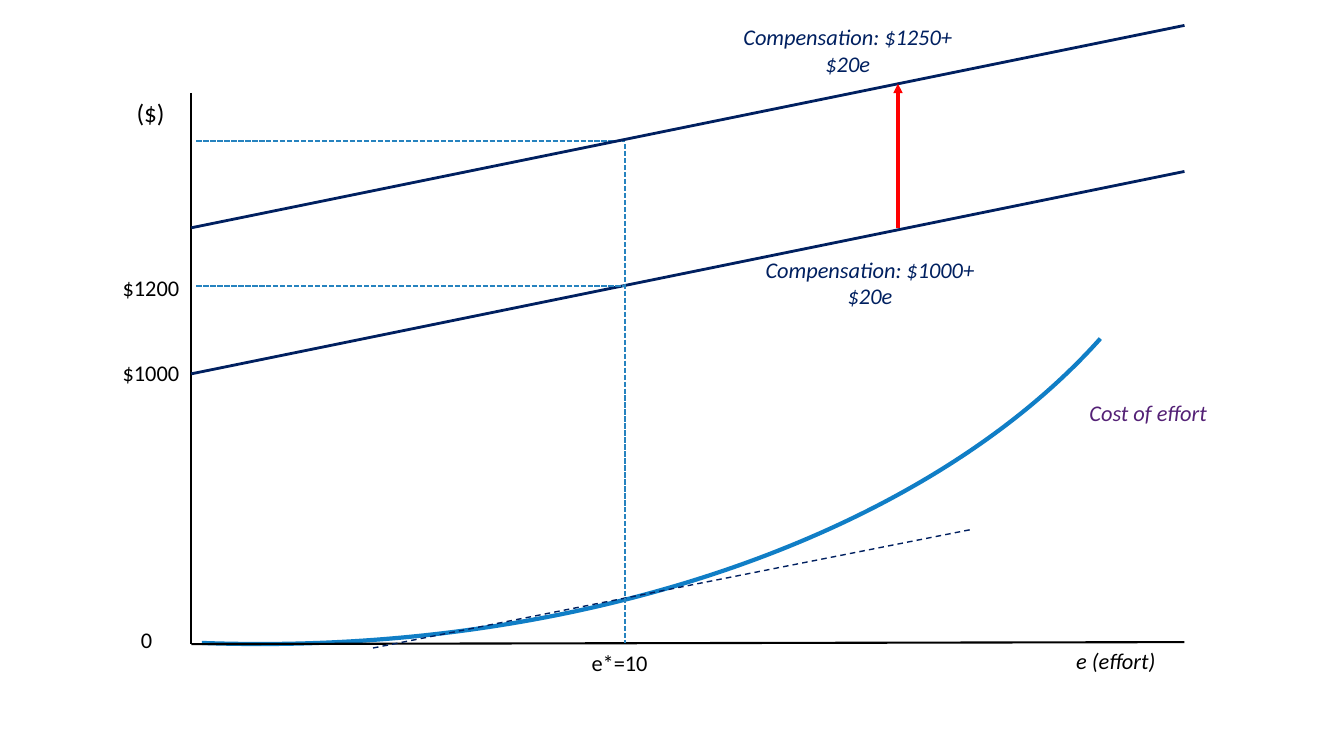
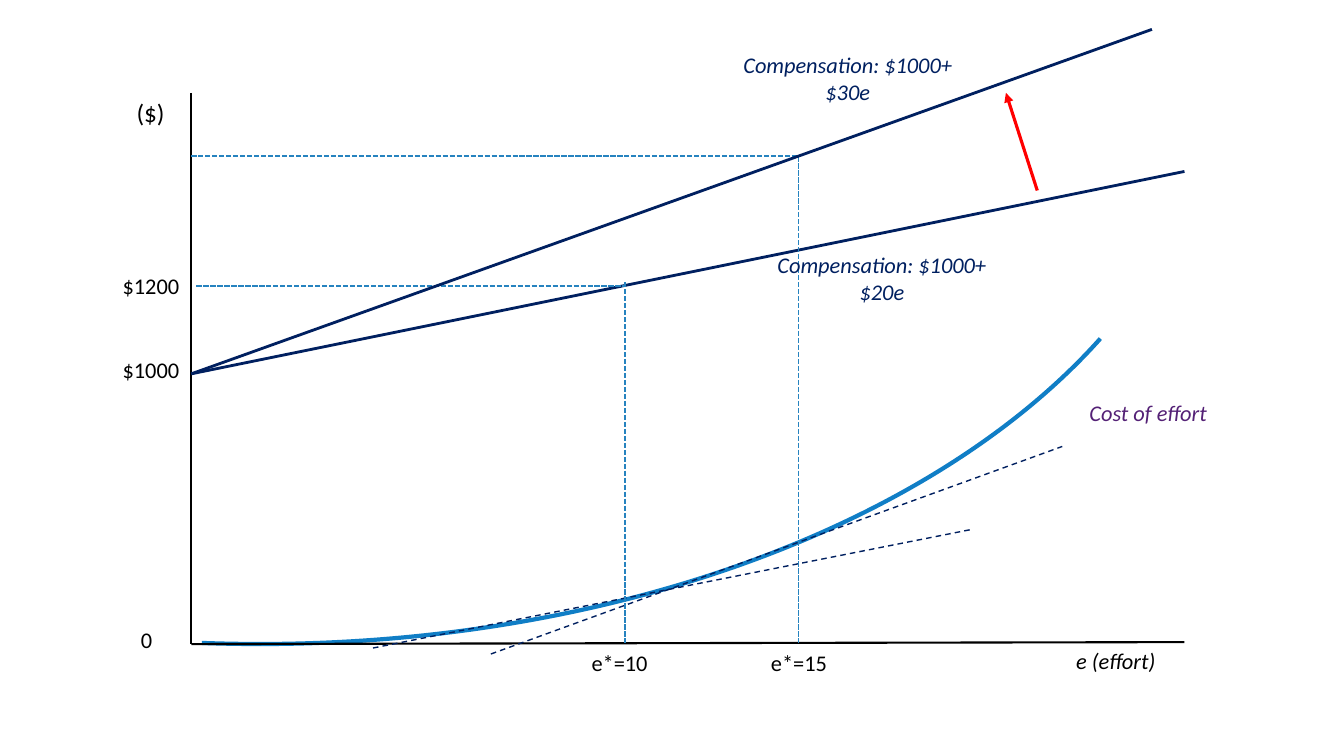
from dataclasses import dataclass

from lxml import etree
from pptx import Presentation
from pptx.dml.color import RGBColor
from pptx.enum.dml import MSO_LINE
from pptx.enum.shapes import MSO_CONNECTOR, MSO_SHAPE
from pptx.enum.text import MSO_AUTO_SIZE, PP_ALIGN
from pptx.oxml.ns import qn
from pptx.slide import Slide
from pptx.util import Cm, Pt

STRAIGHT = MSO_CONNECTOR.STRAIGHT
ARC = MSO_SHAPE.ARC
SYS_DASH, DASH = MSO_LINE.SQUARE_DOT, MSO_LINE.DASH
LEFT, CENTER = PP_ALIGN.LEFT, PP_ALIGN.CENTER
FIT_TEXT = MSO_AUTO_SIZE.SHAPE_TO_FIT_TEXT

BLACK, NAVY, PURPLE = "000000", "002060", "542176"
GUIDE_BLUE, CURVE_BLUE, RED = "2683BF", "107EC6", "FF0000"
FONT = "Calibri"

# Lengths are centimetres.
AXIS_X, AXIS_TOP, AXIS_BOTTOM = 4.82, 2.34, 16.23
AXIS_END = (29.85, 16.18)
GUIDE_LEFT, GUIDE_BOTTOM = 4.95, 16.21
EFFORT_10, EFFORT_15 = 15.75, 20.12
PAY_1000, PAY_1200 = 9.42, 7.21
ROW_HEIGHT = 1.19
TICK_LABEL_TOP = AXIS_BOTTOM
CURVE_LABEL_WIDTH = 6.25


@dataclass(frozen=True)
class Pen:
    color: str
    width: float
    dash: MSO_LINE | None = None
    arrow: bool = False


@dataclass(frozen=True)
class Segment:
    start: tuple[float, float]
    end: tuple[float, float]
    pen: Pen


@dataclass(frozen=True)
class Label:
    text: str
    left: float
    top: float
    width: float
    height: float = ROW_HEIGHT
    color: str = BLACK
    size: int = 16
    italic: bool = False
    align: PP_ALIGN = LEFT


AXIS = Pen(BLACK, 1.5)
PAY_LINE = Pen(NAVY, 2)
GUIDE = Pen(GUIDE_BLUE, 1.25, SYS_DASH)
TANGENT = Pen(NAVY, 1, DASH)
SHIFT = Pen(RED, 2.25, arrow=True)
COST_CURVE = Pen(CURVE_BLUE, 3)


def rgb(color: str) -> RGBColor:
    return RGBColor.from_string(color)


def apply_pen(line, pen: Pen) -> None:
    line.color.rgb = rgb(pen.color)
    line.width = Pt(pen.width)
    if pen.dash is not None:
        line.dash_style = pen.dash


def draw_segment(slide: Slide, segment: Segment) -> None:
    ends = (Cm(value) for value in (*segment.start, *segment.end))
    connector = slide.shapes.add_connector(STRAIGHT, *ends)
    apply_pen(connector.line, segment.pen)
    properties = connector._element.spPr
    if segment.pen.arrow:
        outline = properties.find(qn("a:ln"))
        etree.SubElement(outline, qn("a:tailEnd"), type="triangle")
    etree.SubElement(properties, qn("a:effectLst"))


def draw_label(slide: Slide, label: Label) -> None:
    box = (Cm(v) for v in (label.left, label.top, label.width, label.height))
    frame = slide.shapes.add_textbox(*box).text_frame
    frame.word_wrap = True
    frame.auto_size = FIT_TEXT
    paragraph = frame.paragraphs[0]
    paragraph.alignment = label.align
    run = paragraph.add_run()
    run.text = label.text
    font_format = {"name": FONT, "size": Pt(label.size), "italic": label.italic}
    for attribute, value in font_format.items():
        setattr(run.font, attribute, value)
    run.font.color.rgb = rgb(label.color)


def curve_label(text: str, left: float, top: float,
                height: float = ROW_HEIGHT, color: str = NAVY) -> Label:
    return Label(text, left, top, CURVE_LABEL_WIDTH, height, color,
                 italic=True, align=CENTER)


def pay_tick(text: str, top: float) -> Label:
    return Label(text, 2.84, top, 3.18)


def effort_tick(text: str, left: float) -> Label:
    return Label(text, left, TICK_LABEL_TOP, 2.79)


def guides(effort: float, pay: float, top: float,
           left: float = GUIDE_LEFT) -> list[Segment]:
    """Dashed lines from a point on a pay line to both axes."""
    return [Segment((effort, top), (effort, GUIDE_BOTTOM), GUIDE),
            Segment((left, pay), (effort, pay), GUIDE)]


def draw_cost_curve(slide: Slide) -> None:
    curve = slide.shapes.add_shape(
        ARC, Cm(-8.28), Cm(-22.76), Cm(29.67), Cm(48.31))
    curve.rotation = 90
    curve.adjustments[0] = 173.179
    curve.adjustments[1] = 3.397
    curve.shadow.inherit = False
    curve.fill.background()
    apply_pen(curve.line, COST_CURVE)


BASE_SEGMENTS = [
    Segment((AXIS_X, AXIS_TOP), (AXIS_X, AXIS_BOTTOM), AXIS),
    Segment(AXIS_END, (AXIS_X, AXIS_BOTTOM), AXIS),
    Segment((AXIS_X, PAY_1000), (AXIS_END[0], 4.32), PAY_LINE),
    Segment((9.4, 16.33), (24.49, 13.34), TANGENT),
]
BASE_LABELS = [
    Label("($)", 0.86, AXIS_TOP, 5.87, 1.3, size=18, align=CENTER),
    Label("0", 3.3, 15.65, 1.02),
    Label("e (effort)", 25.02, 16.18, 6.2, italic=True, align=CENTER),
    curve_label("Cost of effort", 25.81, 9.93, color=PURPLE),
    effort_tick("e*=10", 14.66),
]

HIGHER_BASE_SEGMENTS = [
    *guides(EFFORT_10, PAY_1200, PAY_1200),
    *guides(EFFORT_10, 3.56, 3.63),
    Segment((AXIS_X, 5.74), (AXIS_END[0], 0.64), PAY_LINE),
    Segment((22.63, 5.74), (22.63, 2.11), SHIFT),
]
# The upper guide already runs through the lower point to the effort axis.
HIGHER_BASE_SEGMENTS.pop(0)
HIGHER_BASE_LABELS = [
    pay_tick("$1000", 8.92),
    pay_tick("$1200", 6.78),
    curve_label("Compensation: $1000+$20e", 18.8, 6.32, 2.06),
    curve_label("Compensation: $1250+$20e", 18.24, 0.46, 1.63),
]

HIGHER_RATE_SEGMENTS = [
    *guides(EFFORT_10, PAY_1200, 7.11),
    *guides(EFFORT_15, 3.94, 3.94, AXIS_X),
    Segment((AXIS_X, PAY_1000), (29.03, 0.74), PAY_LINE),
    Segment((12.37, 16.48), (26.77, 11.25), TANGENT),
    Segment((26.14, 4.8), (25.35, 2.34), SHIFT),
]
HIGHER_RATE_LABELS = [
    pay_tick("$1000", 8.86),
    pay_tick("$1200", 6.73),
    curve_label("Compensation: $1000+$20e", 19.1, 6.2, 2.06),
    curve_label("Compensation: $1000+$30e", 18.24, 1.17, 1.63),
    effort_tick("e*=15", 19.18),
]


def main() -> None:
    deck = Presentation()
    deck.slide_width, deck.slide_height = Cm(33.87), Cm(19.05)
    blank_layout = deck.slide_layouts[6]
    for segments, labels in (
        (HIGHER_BASE_SEGMENTS, HIGHER_BASE_LABELS),
        (HIGHER_RATE_SEGMENTS, HIGHER_RATE_LABELS),
    ):
        slide = deck.slides.add_slide(blank_layout)
        draw_cost_curve(slide)
        for segment in BASE_SEGMENTS + segments:
            draw_segment(slide, segment)
        for label in BASE_LABELS + labels:
            draw_label(slide, label)
    deck.save("out.pptx")


if __name__ == "__main__":
    main()
